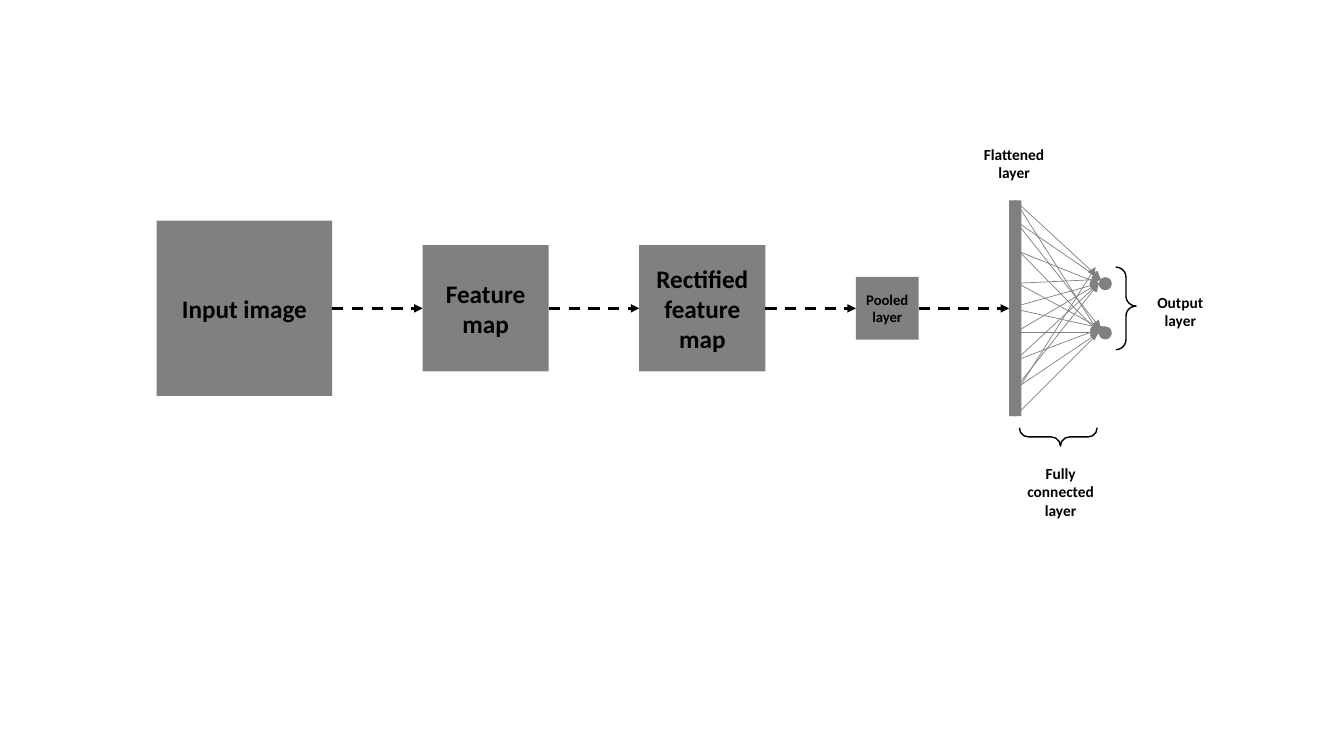
import pptx
import pptx.util
import pptx.dml.color
import pptx.enum.dml
import pptx.enum.shapes
import pptx.enum.text
import pptx.oxml.ns
from lxml import etree

Cm = pptx.util.Cm
Pt = pptx.util.Pt
SHAPE = pptx.enum.shapes.MSO_SHAPE
GRAY, BLACK = "808080", "000000"

AXIS_Y = 7.77  # height on which all stages are centred
GAP = 2.28
STAGES = [  # label, side, text size
    ("Input image", 4.42, 18),
    ("Feature map", 3.18, 18),
    ("Rectified feature map", 3.18, 18),
    ("Pooled layer", 1.58, 10.5),
]
BAR_W, BAR_H = 0.31, 5.44
NODE_X, NODE_D = 27.69, 0.33
NODE_YS = (7.15, 8.39)

# Arrow ends at the output nodes: on the left edge or at the upper left.
UP, UP_TOP = (27.69, 7.14), (27.74, 7.04)
LOW, LOW_TOP = (27.69, 8.38), (27.74, 8.28)
BAR_MID = 25.58
LINKS = [  # start x, start y, ends
    (BAR_MID, 5.05, (UP_TOP, LOW)),
    (BAR_MID, 5.56, (UP_TOP, LOW_TOP)),
    (BAR_MID, 6.3, (UP,)),
    (25.65, 6.3, (LOW,)),
    (BAR_MID, 7.14, (UP_TOP,)),
    (25.65, 7.14, (LOW_TOP,)),
    (25.42, 7.77, (UP,)),
    (25.5, 7.77, ((27.81, 8.28),)),
    (BAR_MID, 8.38, (UP, LOW)),
    (BAR_MID, 9.09, (UP, (27.86, 8.23))),
    (BAR_MID, 9.8, (UP, LOW)),
    (25.5, 10.06, ((27.61, 6.73),)),
]
LABELS = [  # text, left, top, width, height
    ("Fully connected layer", 25.58, 11.56, 2.3, 1.68),
    ("Flattened layer", 24.41, 3.53, 2.29, 1.19),
    ("Output layer", 28.6, 7.26, 2.29, 1.19),
]
BRACES = [  # left, top, width, height, rotation
    (26.44, 10.03, 0.46, 1.96, 270),
    (28.12, 6.73, 0.51, 2.08, 180),
]


def rgb(color):
    """Turn a hex string into a colour."""
    return pptx.dml.color.RGBColor.from_string(color)


def write(sp, text, size):
    """Put one bold, centred, wrapping paragraph into a shape."""
    tf = sp.text_frame
    tf.word_wrap = True
    p = tf.paragraphs[0]
    p.text = text
    p.alignment = pptx.enum.text.PP_ALIGN.CENTER
    p.font.name = "Calibri"
    p.font.size = Pt(size)
    p.font.bold = True
    p.font.color.rgb = rgb(BLACK)
    return tf


def add_solid(slide, kind, x, y, w, h):
    """Add a gray preset shape without outline."""
    sp = slide.shapes.add_shape(kind, Cm(x), Cm(y), Cm(w), Cm(h))
    sp.shadow.inherit = False
    sp.fill.solid()
    sp.fill.fore_color.rgb = rgb(GRAY)
    sp.line.fill.background()
    return sp


def add_stage(slide, text, x, side, size):
    """Add a labelled square centred on the axis."""
    sp = add_solid(slide, SHAPE.RECTANGLE, x, AXIS_Y - side / 2, side, side)
    tf = write(sp, text, size)
    tf.margin_left = tf.margin_right = Cm(0.1)
    tf.vertical_anchor = pptx.enum.text.MSO_ANCHOR.MIDDLE


def add_line(slide, start, end, color, width, dashed=False, arrow=True):
    """Add a straight line, with an arrowhead at its end if wanted."""
    points = [Cm(v) for v in (*start, *end)]
    line_type = pptx.enum.shapes.MSO_CONNECTOR.STRAIGHT
    cx = slide.shapes.add_connector(line_type, *points)
    cx.line.color.rgb = rgb(color)
    cx.line.width = Pt(width)
    if dashed:
        cx.line.dash_style = pptx.enum.dml.MSO_LINE.DASH
    qn = pptx.oxml.ns.qn
    if arrow:
        ln = cx.line._get_or_add_ln()
        etree.SubElement(ln, qn("a:tailEnd"), type="triangle")
    etree.SubElement(cx._element.spPr, qn("a:effectLst"))


def add_brace(slide, x, y, w, h, rotation):
    """Add a thin black brace, turned by the given angle."""
    sp = slide.shapes.add_shape(SHAPE.LEFT_BRACE, Cm(x), Cm(y), Cm(w), Cm(h))
    sp.shadow.inherit = False
    sp.fill.background()
    sp.line.color.rgb = rgb(BLACK)
    sp.line.width = Pt(1)
    sp.adjustments[0] = 0.494
    sp.adjustments[1] = 0.528
    sp.rotation = rotation


def add_label(slide, text, x, y, w, h):
    """Add a small caption."""
    sp = slide.shapes.add_textbox(Cm(x), Cm(y), Cm(w), Cm(h))
    write(sp, text, 11)


def main():
    """Build the network diagram."""
    prs = pptx.Presentation()
    prs.slide_width, prs.slide_height = Cm(33.87), Cm(19.05)
    slide = prs.slides.add_slide(prs.slide_layouts[6])

    x = 3.95
    for text, side, size in STAGES:
        add_stage(slide, text, x, side, size)
        x += side
        add_line(slide, (x, AXIS_Y), (x + GAP, AXIS_Y), BLACK, 2, dashed=True)
        x += GAP
    add_solid(slide, SHAPE.RECTANGLE, x, AXIS_Y - BAR_H / 2, BAR_W, BAR_H)

    for y in NODE_YS:
        add_solid(slide, SHAPE.OVAL, NODE_X, y - NODE_D / 2, NODE_D, NODE_D)
    for start_x, start_y, ends in LINKS:
        for end in ends:
            add_line(slide, (start_x, start_y), end, GRAY, 0.5)
    add_line(slide, (BAR_MID, 10.49), LOW, GRAY, 0.5, arrow=False)

    for brace in BRACES:
        add_brace(slide, *brace)
    for label in LABELS:
        add_label(slide, *label)
    prs.save("out.pptx")


main()
